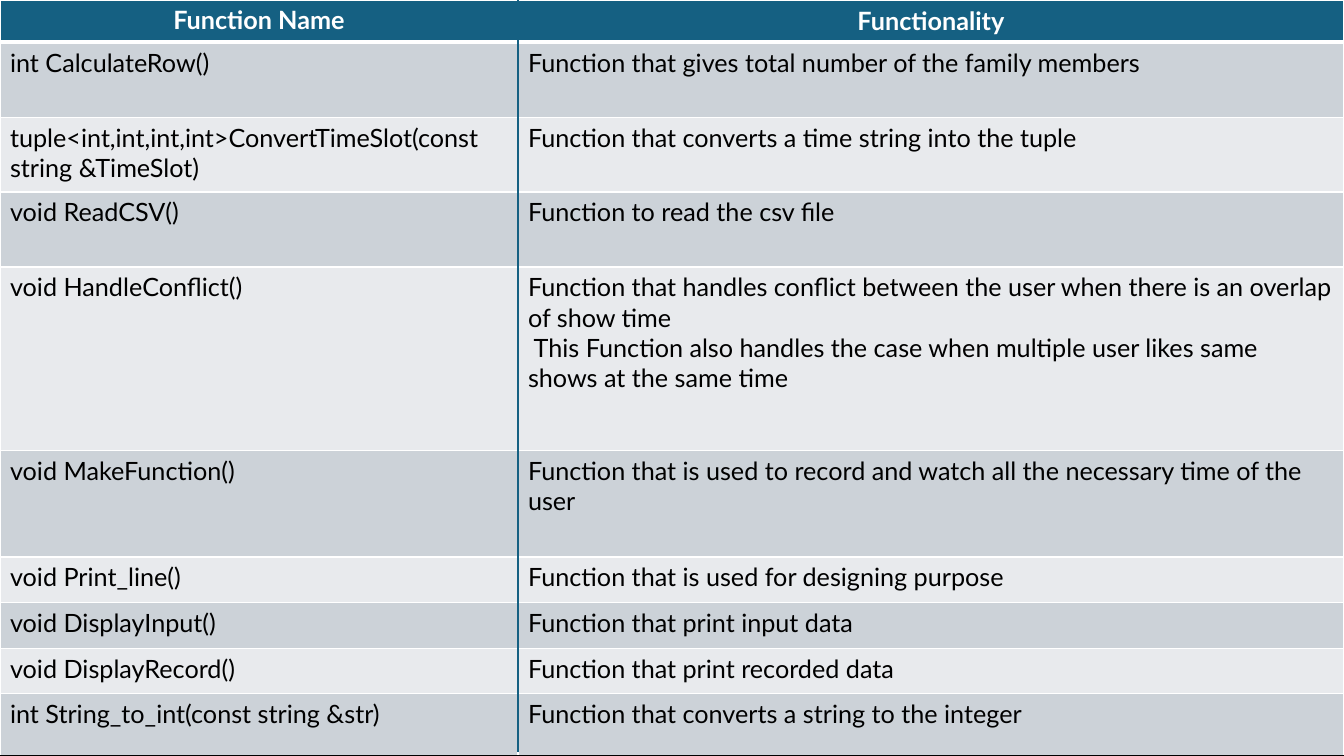
from dataclasses import dataclass

from lxml import etree
from pptx import Presentation
from pptx import util as u
from pptx.dml.color import RGBColor
from pptx.enum import shapes, text
from pptx.oxml import ns

Pt = u.Pt


@dataclass(frozen=True)
class Theme:
    font: str = "Lato"
    size: float = 18
    head: str = "156082"
    odd: str = "CCD2D8"
    even: str = "E8EAED"
    white: str = "FFFFFF"
    black: str = "000000"
    thin: float = 1
    thick: float = 3
    rule: float = 1.5


THEME = Theme()
WIDE, HIGH = 960, 540
COLS = [370, 590]

# Row height, function name, paragraphs on what it does
ROWS = [
    (30.2, "Function Name", ["Functionality"]),
    (53.5, "int CalculateRow()",
     ["Function that gives total number of the family members"]),
    (53.5, "tuple<int,int,int,int>ConvertTimeSlot(const string &TimeSlot)",
     ["Function that converts a time string into the tuple"]),
    (53.5, "void ReadCSV()", ["Function to read the csv file"]),
    (131, "void HandleConflict()",
     ["Function that handles conflict between the user when there is an overlap of show time",
      " This Function also handles the case when multiple user likes same shows at the same time"]),
    (76.2, "void MakeFunction()",
     ["Function that is used to record and watch all the necessary time of the user"]),
    (32.6, "void Print_line()", ["Function that is used for designing purpose"]),
    (32.6, "void DisplayInput()", ["Function that print input data "]),
    (32.6, "void DisplayRecord()", ["Function that print recorded data"]),
    (44.3, "int String_to_int(const string &str)",
     ["Function that converts a string to the integer"]),
]


def color(code):
    return RGBColor.from_string(code)


def write(cell, paras, tone, bold=False, align=text.PP_ALIGN.LEFT):
    frame = cell.text_frame
    for i, words in enumerate(paras):
        para = frame.paragraphs[0] if i == 0 else frame.add_paragraph()
        para.alignment = align
        run = para.add_run()
        run.text = words
        font = run.font
        font.name, font.size, font.bold = THEME.font, Pt(THEME.size), bold
        font.color.rgb = color(tone)


def border(cell, sides):
    """Draw the cell edges; they must come before the fill in the XML."""
    props = cell._tc.get_or_add_tcPr()
    for i, (side, (tone, width)) in enumerate(sides.items()):
        line = etree.Element(ns.qn("a:ln" + side), w=str(Pt(width)))
        fill = etree.SubElement(line, ns.qn("a:solidFill"))
        etree.SubElement(fill, ns.qn("a:srgbClr"), val=tone)
        props.insert(i, line)


def add_grid(slide):
    frame = slide.shapes.add_table(len(ROWS), len(COLS), 0, 0, Pt(WIDE), Pt(HIGH))
    table = frame.table
    for col, width in zip(table.columns, COLS):
        col.width = Pt(width)

    edge = (THEME.white, THEME.thin)
    below = {0: (THEME.white, THEME.thick),
             len(ROWS) - 1: (THEME.black, THEME.thin)}
    for r, (height, name, paras) in enumerate(ROWS):
        table.rows[r].height = Pt(height)
        above = below.get(r - 1, edge)
        sides = {"L": edge, "R": edge, "T": above, "B": below.get(r, edge)}
        for c, words in enumerate([[name], paras]):
            cell = table.cell(r, c)
            cell.fill.solid()
            if r == 0:
                tone = THEME.head
                write(cell, words, THEME.white, True, text.PP_ALIGN.CENTER)
            else:
                tone = THEME.odd if r % 2 else THEME.even
                write(cell, words, THEME.black)
            cell.fill.fore_color.rgb = color(tone)
            border(cell, sides)
    table.cell(0, 1).vertical_anchor = text.MSO_ANCHOR.MIDDLE


def add_rule(slide, x, end):
    line = slide.shapes.add_connector(
        shapes.MSO_CONNECTOR.STRAIGHT, Pt(x), 0, Pt(x), Pt(end))
    line.line.color.rgb = color(THEME.head)
    line.line.width = Pt(THEME.rule)
    etree.SubElement(line._element.spPr, ns.qn("a:effectLst"))


def main():
    deck = Presentation()
    deck.slide_width, deck.slide_height = Pt(WIDE), Pt(HIGH)
    slide = deck.slides.add_slide(deck.slide_layouts[6])

    # Table of functions
    add_grid(slide)

    # Rule between the columns
    add_rule(slide, COLS[0], 537)

    deck.save("out.pptx")


if __name__ == "__main__":
    main()
